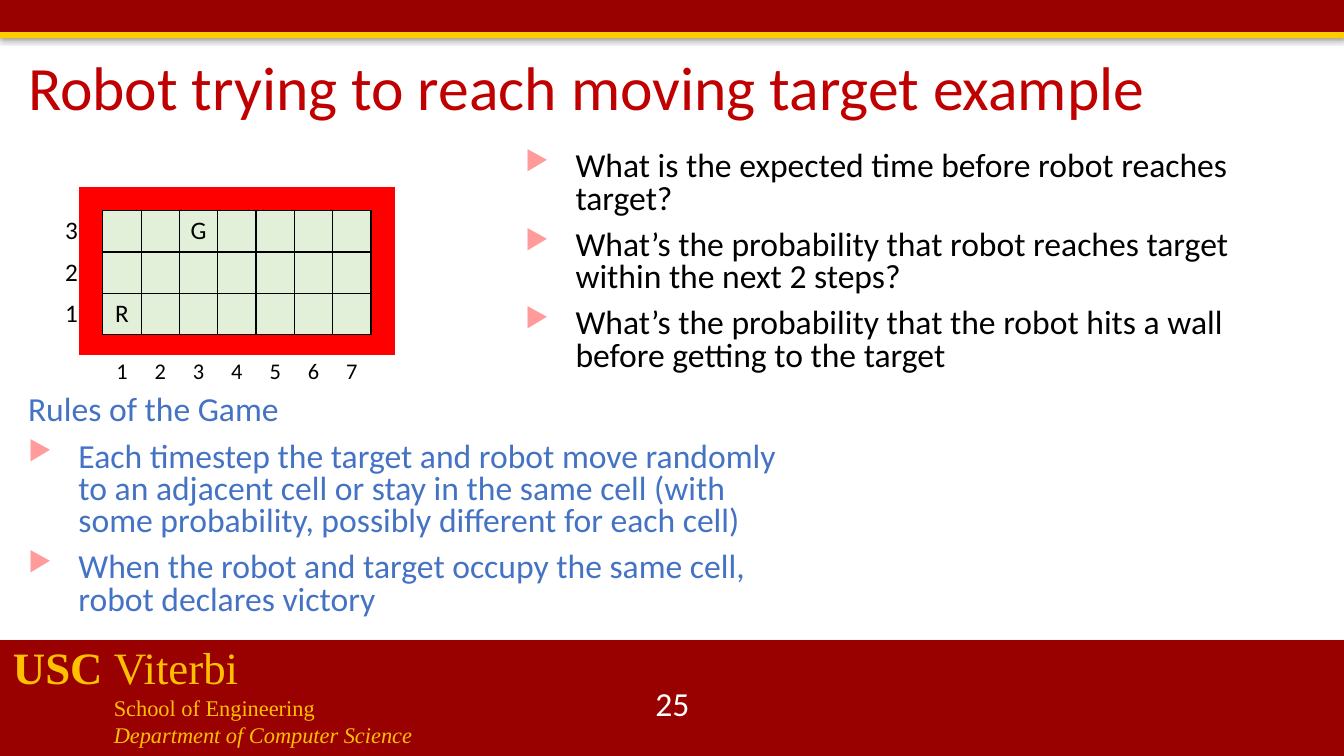
from dataclasses import dataclass

from lxml import etree
from pptx import Presentation
from pptx.dml.color import RGBColor
from pptx.enum.shapes import MSO_SHAPE
from pptx.enum.text import MSO_ANCHOR, PP_ALIGN
from pptx.oxml.ns import qn
from pptx.util import Inches, Pt

RECT = MSO_SHAPE.RECTANGLE
TOP, MIDDLE = MSO_ANCHOR.TOP, MSO_ANCHOR.MIDDLE
LEFT, CENTER = PP_ALIGN.LEFT, PP_ALIGN.CENTER


@dataclass(frozen=True)
class Theme:
    sans: str = "Calibri"
    serif: str = "Times New Roman"
    band: str = "990000"
    stripe: str = "FFCC00"
    gold: str = "FFC000"
    title: str = "C00000"
    ink: str = "000000"
    rules: str = "4472C4"
    bullet: str = "FF9B9B"
    white: str = "FFFFFF"
    wall: str = "FF0000"
    floor: str = "E2F0D9"
    title_size: int = 44
    school_size: int = 32
    body_size: int = 24
    cell_size: int = 18
    small_size: int = 16
    empty_size: int = 8


T = Theme()
QUESTIONS = [
    "What is the expected time before robot reaches target?",
    "What’s the probability that robot reaches target within the next 2 steps?",
    "What’s the probability that the robot hits a wall before getting to the target",
]
RULES = [
    "Each timestep the target and robot move randomly to an adjacent cell or stay "
    "in the same cell (with some probability, possibly different for each cell)",
    "When the robot and target occupy the same cell, robot declares victory",
]
# Grid: a label column and row, a ring of wall, and the floor inside it
WIDTHS = [0.24] * 2 + [0.38] * 7 + [0.24] * 2
HEIGHTS = [0.23, 0.23, 0.41, 0.41, 0.41, 0.2, 0.34]
PIECES = {(2, 4): "G", (4, 2): "R"}


def add_xml(parent, tag, **attrs):
    return etree.SubElement(parent, qn(tag), attrs)


def add_band(slide, top, height, color):
    """Add a full-width bar with a soft shadow below it."""
    band = slide.shapes.add_shape(RECT, 0, Inches(top), Inches(13.33), Inches(height))
    band.fill.solid()
    band.fill.fore_color.rgb = RGBColor.from_string(color)
    band.line.fill.background()
    band.shadow.inherit = False
    effects = band.element.spPr.find(qn("a:effectLst"))
    shade = add_xml(effects, "a:outerShdw", blurRad=str(Pt(3.1)), dist=str(Pt(1.8)),
                    dir="5400000", rotWithShape="0")
    tint = add_xml(shade, "a:srgbClr", val=T.ink)
    add_xml(tint, "a:alpha", val="35000")


def add_box(slide, left, top, width, height, anchor=TOP):
    box = slide.shapes.add_textbox(
        Inches(left), Inches(top), Inches(width), Inches(height))
    frame = box.text_frame
    frame.word_wrap = True
    frame.vertical_anchor = anchor
    return frame


def next_para(frame):
    """Return the first paragraph while it is empty, then new ones."""
    first = frame.paragraphs[0]
    return frame.add_paragraph() if first.runs else first


def add_run(para, text, size, color, face=T.sans, bold=False, italic=False):
    run = para.add_run()
    run.text = text
    font = run.font
    font.name, font.size = face, Pt(size)
    font.bold, font.italic = bold, italic
    font.color.rgb = RGBColor.from_string(color)


def add_line(frame, text, size, color, align=LEFT, spacing=None):
    para = next_para(frame)
    para.alignment = align
    para.line_spacing = spacing
    add_run(para, text, size, color)


def add_bullets(frame, items, color):
    for item in items:
        para = next_para(frame)
        props = para._p.get_or_add_pPr()
        props.set("marL", str(Inches(0.5)))
        props.set("indent", str(Inches(-0.5)))
        tint = add_xml(props, "a:buClr")
        add_xml(tint, "a:srgbClr", val=T.bullet)
        add_xml(props, "a:buSzPct", val="80000")
        add_xml(props, "a:buChar", char="▶")
        para.line_spacing = 0.8
        if para._p is not frame.paragraphs[0]._p:
            para.space_before = Pt(10)
        add_run(para, item, T.body_size, color)


def add_school(slide):
    frame = add_box(slide, 0.03, 6.3, 6.25, 1.18)
    para = next_para(frame)
    add_run(para, "USC ", T.school_size, T.gold, T.serif, bold=True)
    add_run(para, "Viterbi", T.school_size, T.gold, T.serif)
    for text, italic in (("School of Engineering", False),
                         ("Department of Computer Science", True)):
        para = next_para(frame)
        para._p.get_or_add_pPr().set("marL", str(Inches(1)))
        add_run(para, text, T.small_size, T.gold, T.serif, italic=italic)


def is_floor(row, col):
    return 2 <= row <= 4 and 2 <= col <= 8


def is_wall(row, col):
    return 1 <= row <= 5 and 1 <= col <= 9 and not is_floor(row, col)


def label(row, col):
    if col == 0 and 2 <= row <= 4:
        return str(5 - row)
    if row == 6 and 2 <= col <= 8:
        return str(col - 1)
    return PIECES.get((row, col), "")


def set_edges(cell, row, col):
    """Draw a black line on each side that touches the floor."""
    sides = {"L": (0, -1), "R": (0, 1), "T": (-1, 0), "B": (1, 0)}
    props = cell._tc.get_or_add_tcPr()
    for spot, (side, (down, right)) in enumerate(sides.items()):
        edge = etree.Element(qn("a:ln" + side), w=str(Pt(1)))
        if is_floor(row, col) or is_floor(row + down, col + right):
            fill = add_xml(edge, "a:solidFill")
            add_xml(fill, "a:srgbClr", val=T.ink)
        else:
            add_xml(edge, "a:noFill")
        props.insert(spot, edge)


def set_cell(cell, row, col):
    if is_floor(row, col) or is_wall(row, col):
        cell.fill.solid()
        color = T.floor if is_floor(row, col) else T.wall
        cell.fill.fore_color.rgb = RGBColor.from_string(color)
    else:
        cell.fill.background()
    set_edges(cell, row, col)
    cell.margin_top = cell.margin_bottom = cell.margin_right = 0
    cell.margin_left = Inches(0.1 if col == 0 else 0)
    cell.vertical_anchor = MIDDLE
    para = cell.text_frame.paragraphs[0]
    para.alignment = CENTER
    text = label(row, col)
    if text:
        add_run(para, text, T.small_size if row == 6 else T.cell_size, T.ink)
    else:
        add_xml(para._p, "a:endParaRPr", sz=str(T.empty_size * 100))


def add_grid(slide):
    table = slide.shapes.add_table(
        len(HEIGHTS), len(WIDTHS), Inches(0.54), Inches(1.63),
        Inches(sum(WIDTHS)), Inches(sum(HEIGHTS))).table
    table.first_row = table.horz_banding = False
    for col, width in enumerate(WIDTHS):
        table.columns[col].width = Inches(width)
    for row, height in enumerate(HEIGHTS):
        table.rows[row].height = Inches(height)
        for col in range(len(WIDTHS)):
            set_cell(table.cell(row, col), row, col)


def main():
    deck = Presentation()
    deck.slide_width, deck.slide_height = Inches(13.33), Inches(7.5)
    slide = deck.slides.add_slide(deck.slide_layouts[6])
    add_band(slide, 6.35, 1.15, T.band)
    add_school(slide)
    add_band(slide, 0, 0.33, T.band)
    add_band(slide, 0.32, 0.06, T.stripe)
    title = add_box(slide, 0.18, 0.47, 11.94, 0.85, MIDDLE)
    add_line(title, "Robot trying to reach moving target example",
             T.title_size, T.title, spacing=0.9)
    number = add_box(slide, 5.17, 6.78, 3, 0.4, MIDDLE)
    add_line(number, "25", T.body_size, T.white, CENTER)
    add_bullets(add_box(slide, 5.11, 1.46, 7.87, 2.51), QUESTIONS, T.ink)
    rules = add_box(slide, 0.18, 3.88, 7.73, 2.51)
    add_line(rules, "Rules of the Game", T.body_size, T.rules, spacing=0.8)
    add_bullets(rules, RULES, T.rules)
    add_grid(slide)
    deck.save("out.pptx")


if __name__ == "__main__":
    main()
